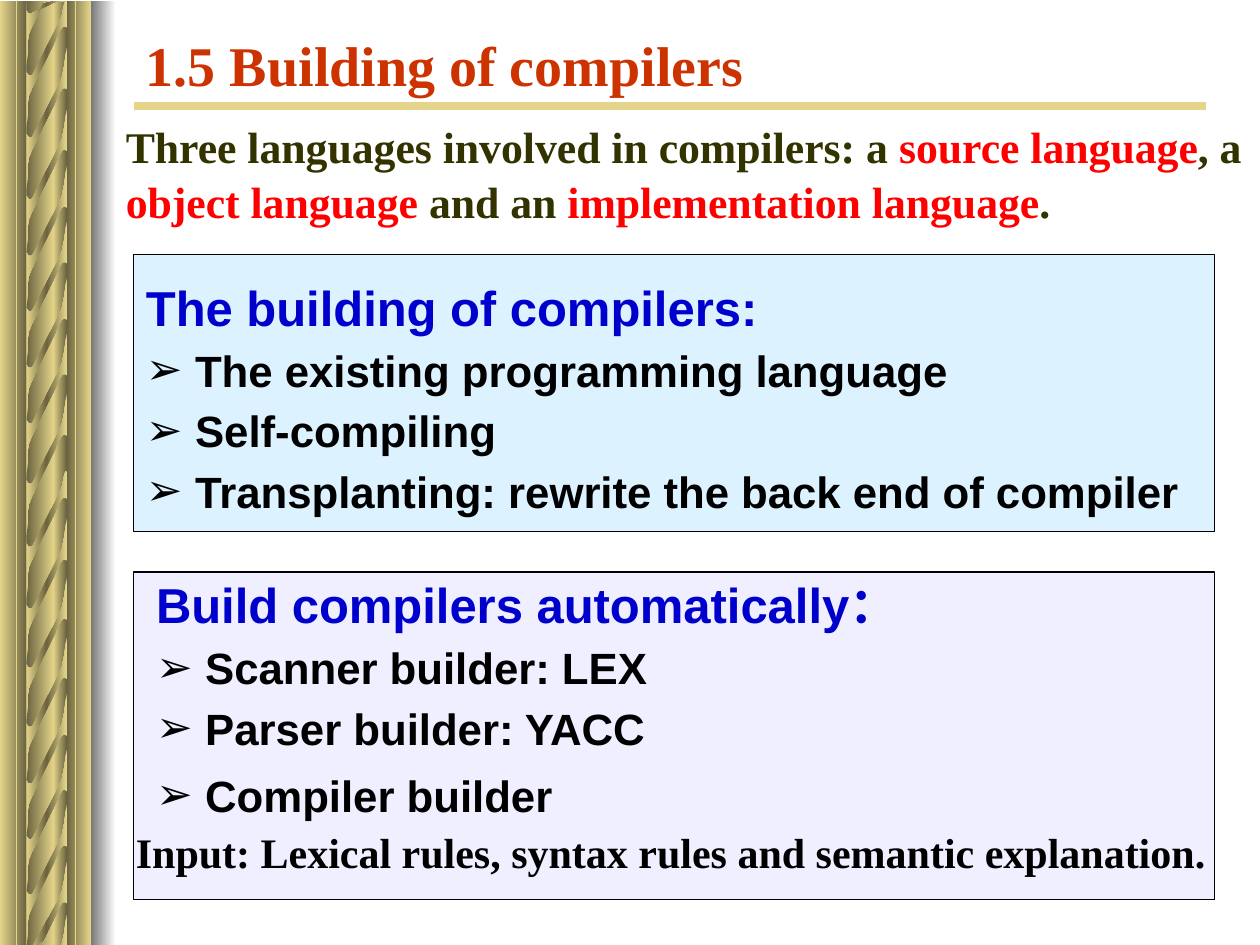
from dataclasses import dataclass

from lxml.etree import SubElement
from pptx import Presentation
from pptx.dml.color import RGBColor
from pptx.enum.shapes import MSO_CONNECTOR, MSO_SHAPE
from pptx.enum.text import MSO_ANCHOR
from pptx.oxml.ns import qn
from pptx.util import Pt

PX = 9144  # 100 px to the inch
WIDE, HIGH = 1000, 750
GOLD, DARK = "E5D58A", "6A6340"
BLUE, BLACK, OLIVE, RED = "0000CC", "000000", "333300", "FF0000"
SANS, SERIF = "Arial", "Times New Roman"


@dataclass
class Box:
    x: int
    y: int
    w: int
    h: int

    def emu(self) -> list[int]:
        return [n * PX for n in (self.x, self.y, self.w, self.h)]


@dataclass
class Bar:
    x: int
    w: int
    stops: tuple[str, ...]


@dataclass
class Run:
    text: str
    color: str


@dataclass
class Para:
    runs: list[Run]
    size: int
    font: str
    space: float = 1.0
    before: int = 0
    bullet: bool = False


def paint(code: str) -> RGBColor:
    return RGBColor.from_string(code)


def blend(shape, stops: tuple[str, ...]) -> None:
    """Fill a shape with evenly spaced colours from left to right."""
    shape.fill.gradient()
    grad = shape._element.spPr.find(qn("a:gradFill"))
    for part in list(grad):
        grad.remove(part)
    items = SubElement(grad, qn("a:gsLst"))
    for i, code in enumerate(stops):
        stop = SubElement(items, qn("a:gs"), pos=str(100000 * i // (len(stops) - 1)))
        SubElement(stop, qn("a:srgbClr"), val=code)
    SubElement(grad, qn("a:lin"), ang="0", scaled="0")
    shape.line.fill.background()
    shape.shadow.inherit = False


def draw_bar(slide, bar: Bar) -> None:
    box = Box(bar.x, 1, bar.w, HIGH)
    blend(slide.shapes.add_shape(MSO_SHAPE.RECTANGLE, *box.emu()), bar.stops)


def draw_blade(slide, top: int, low: int) -> None:
    """Draw one strand of the rope, cut off at the ends of its half."""
    spots = [(x, min(max(top + y, low), HIGH + 1)) for x, y in BLADE]
    form = slide.shapes.build_freeform(*spots[0], scale=PX)
    form.add_line_segments(spots[1:], close=True)
    blend(form.convert_to_shape(), (GOLD, DARK, GOLD))


def draw_line(slide, x: int, y: int, end: int, down: int, width: float) -> None:
    line = slide.shapes.add_connector(
        MSO_CONNECTOR.STRAIGHT, x * PX, y * PX, end * PX, down * PX)
    line.line.color.rgb = paint(GOLD)
    line.line.width = Pt(width)
    SubElement(line._element.spPr, qn("a:effectLst"))


def draw_panel(slide, box: Box, code: str) -> None:
    rect = slide.shapes.add_shape(MSO_SHAPE.RECTANGLE, *box.emu())
    rect.fill.solid()
    rect.fill.fore_color.rgb = paint(code)
    rect.line.color.rgb = paint(BLACK)
    rect.line.width = Pt(0.75)
    rect.shadow.inherit = False


def add_bullet(para) -> None:
    props = para._p.get_or_add_pPr()
    props.set("marL", str(39 * PX))
    props.set("indent", str(-39 * PX))
    color = SubElement(props, qn("a:buClr"))
    SubElement(color, qn("a:srgbClr"), val=BLACK)
    SubElement(props, qn("a:buFont"), typeface=SANS)
    SubElement(props, qn("a:buChar"), char="➢")


def draw_text(slide, box: Box, paras: list[Para], anchor=MSO_ANCHOR.TOP) -> None:
    frame = slide.shapes.add_textbox(*box.emu()).text_frame
    frame.word_wrap = True
    frame.vertical_anchor = anchor
    for i, item in enumerate(paras):
        para = frame.add_paragraph() if i else frame.paragraphs[0]
        if item.bullet:
            add_bullet(para)
        para.line_spacing = item.space
        if item.before:
            para.space_before = Pt(item.before)
        for part in item.runs:
            run = para.add_run()
            run.text = part.text
            font = run.font
            font.name, font.size, font.bold = item.font, Pt(item.size), True
            font.color.rgb = paint(part.color)


def head(text: str, space: float) -> Para:
    return Para([Run(text, BLUE)], 28, SANS, space)


def point(text: str, before: int = 0) -> Para:
    return Para([Run(text, BLACK)], 25, SANS, 1.15, before, True)


# Rope border on the left
BARS = [
    Bar(42, 11, (GOLD, DARK)),
    Bar(0, 21, (GOLD, DARK)),
    Bar(21, 22, (DARK, GOLD)),
    Bar(53, 19, (DARK, GOLD)),
]
SHADE = Bar(72, 20, ("767676", "FFFFFF"))
BLADE = [
    (53, 9), (53, 33), (52, 32), (50, 32), (49, 33), (47, 36), (43, 45),
    (34, 63), (25, 82), (23, 87), (22, 93), (22, 101), (21, 112), (21, 63),
    (21, 68), (22, 70), (23, 71), (25, 71), (26, 70), (45, 33), (49, 24),
    (50, 19), (51, 14), (52, 6), (53, 0),
]
LOWER = [459, 506, 551, 595, 639, 684, 412, 363]
UPPER = [87, 132, 176, 221, 265, 726, 38, -11, -60, 313]

# Wording
TITLE = Para([Run("1.5 Building of compilers", "CC3300")], 32, SERIF)
INTRO = Para([
    Run("Three languages involved in compilers: a ", OLIVE),
    Run("source language", RED),
    Run(", a ", OLIVE),
    Run("object language", RED),
    Run(" and an ", OLIVE),
    Run("implementation language", RED),
    Run(".", OLIVE),
], 25, SERIF, 1.05)
WAYS = [
    head("The building of compilers:", 1.15),
    point("The existing programming language"),
    point("Self-compiling"),
    point("Transplanting: rewrite the back end of compiler"),
]
TOOLS = [
    head("Build compilers automatically：", 1.0),
    point("Scanner builder: LEX"),
    point("Parser builder: YACC"),
    point("Compiler builder", 4),
]
INPUT = Para([Run("Input: Lexical rules, syntax rules and semantic explanation.",
                  BLACK)], 24, SERIF)


def main() -> None:
    deck = Presentation()
    deck.slide_width, deck.slide_height = WIDE * PX, HIGH * PX
    slide = deck.slides.add_slide(deck.slide_layouts[6])

    # Border
    for bar in BARS:
        draw_bar(slide, bar)
    for tops, low in ((LOWER, 374), (UPPER, 1)):
        for top in tops:
            draw_blade(slide, top, low)
    draw_bar(slide, SHADE)
    for x in (13, 60):
        draw_line(slide, x, 1, x, HIGH + 1, 1)

    # Title and introduction
    draw_line(slide, 106, 84, 957, 84, 4.5)
    draw_text(slide, Box(106, 17, 851, 67), [TITLE], MSO_ANCHOR.MIDDLE)
    draw_text(slide, Box(90, 88, 906, 93), [INTRO])

    # Panels
    draw_panel(slide, Box(106, 202, 858, 220), "DDF2FF")
    draw_text(slide, Box(106, 208, 858, 199), WAYS)
    draw_panel(slide, Box(106, 454, 858, 260), "EFEFFF")
    draw_text(slide, Box(114, 451, 835, 246), TOOLS)
    draw_text(slide, Box(98, 651, 874, 50), [INPUT])
    deck.save("out.pptx")


if __name__ == "__main__":
    main()
